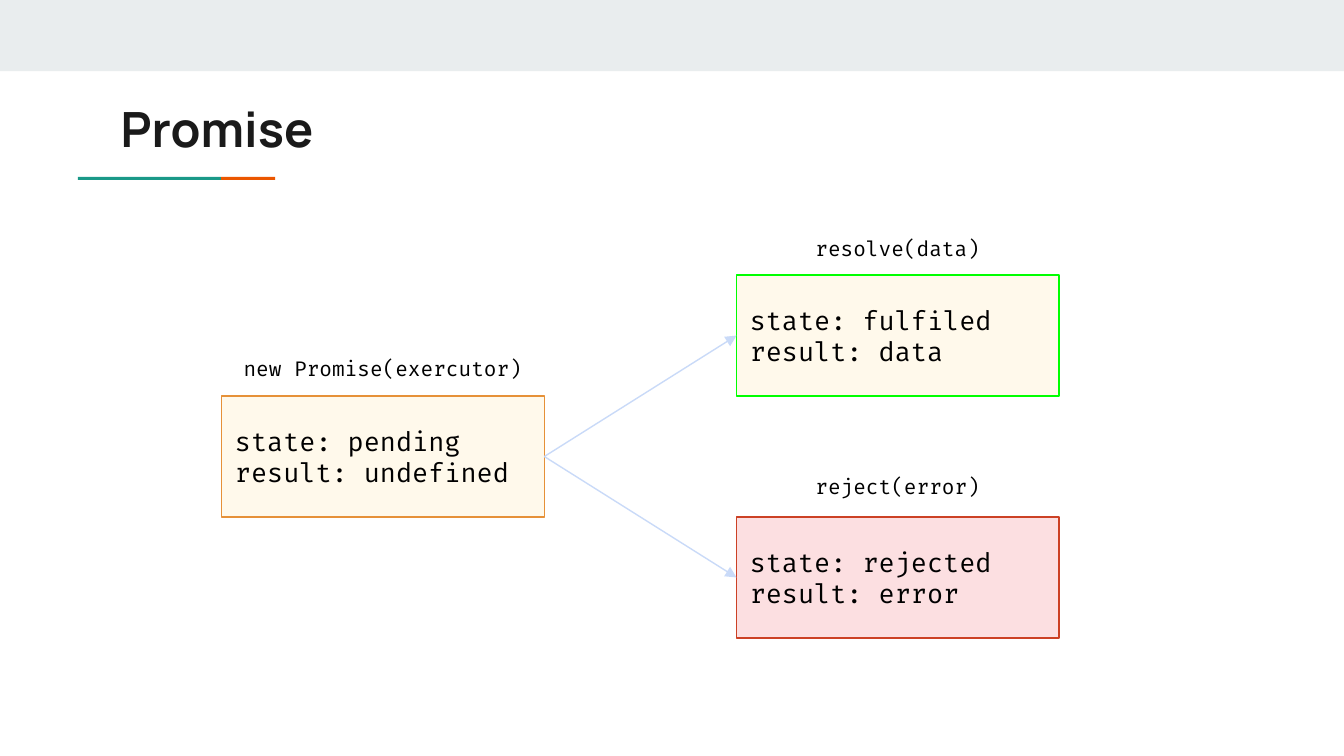
from lxml.etree import SubElement
from pptx import Presentation
from pptx.dml.color import RGBColor
from pptx.enum.shapes import MSO_CONNECTOR, MSO_SHAPE
from pptx.enum.text import MSO_ANCHOR, PP_ALIGN
from pptx.oxml.ns import qn
from pptx.util import Pt

CARD_WIDTH, CARD_HEIGHT = 172.8, 64.8
LABEL_HEIGHT = 28.1
RIGHT_SIDE, LEFT_SIDE = 3, 1


def color(value):
    """Turn a hex string into a colour."""
    return RGBColor.from_string(value)


def add_block(page, left, top, width, height, fill, outline=None):
    """Add a flat rectangle, with an outline if one is given."""
    block = page.shapes.add_shape(
        MSO_SHAPE.RECTANGLE, Pt(left), Pt(top), Pt(width), Pt(height))
    block.shadow.inherit = False
    block.fill.solid()
    block.fill.fore_color.rgb = color(fill)
    if outline:
        block.line.color.rgb = color(outline)
        block.line.width = Pt(0.75)
    else:
        block.line.fill.background()
    return block


def write_lines(box, lines, font, size, ink="000000", bold=False,
                align=PP_ALIGN.LEFT, anchor=MSO_ANCHOR.TOP):
    """Write each line as a paragraph of its own."""
    frame = box.text_frame
    frame.word_wrap = True
    frame.vertical_anchor = anchor
    frame.margin_left = frame.margin_right = Pt(7.2)
    frame.margin_top = frame.margin_bottom = Pt(7.2)
    for index, line in enumerate(lines):
        para = frame.add_paragraph() if index else frame.paragraphs[0]
        para.alignment = align
        span = para.add_run()
        span.text = line
        span.font.name = font
        span.font.size = Pt(size)
        span.font.bold = bold
        span.font.color.rgb = color(ink)


def add_header(page, left, top, width, title):
    """Add the top band, the title and its two-colour underline."""
    add_block(page, left, top, width, 38.2, "E9EDEE")
    add_block(page, left + 41.8, top + 94.8, 76.6, 1.6, "1A9988")
    add_block(page, left + 118.4, top + 94.8, 29, 1.6, "EB5600")
    box = page.shapes.add_textbox(
        Pt(left + 57.6), Pt(top + 46.1), Pt(605.5), Pt(42.5))
    write_lines(box, [title], "Manrope", 26, "1A1A1A", bold=True)


def add_state(page, left, top, label, label_gap, state, result, fill, outline):
    """Add a state card with the call that leads to it written above."""
    card = add_block(page, left, top, CARD_WIDTH, CARD_HEIGHT, fill, outline)
    write_lines(card, [f"state: {state}", f"result: {result}"],
                "Fira Code", 14, anchor=MSO_ANCHOR.MIDDLE)
    box = page.shapes.add_textbox(
        Pt(left), Pt(top - label_gap), Pt(CARD_WIDTH), Pt(LABEL_HEIGHT))
    write_lines(box, [label], "Fira Code", 11, align=PP_ALIGN.CENTER)
    return card


def add_arrow(page, source, target):
    """Connect the right side of one card to the left side of another."""
    arrow = page.shapes.add_connector(MSO_CONNECTOR.STRAIGHT, 0, 0, 0, 0)
    arrow.begin_connect(source, RIGHT_SIDE)
    arrow.end_connect(target, LEFT_SIDE)
    arrow.line.color.rgb = color("C9DAF8")
    arrow.line.width = Pt(0.75)
    SubElement(arrow.line._get_or_add_ln(), qn("a:tailEnd"), type="triangle")
    SubElement(arrow._element.spPr, qn("a:effectLst"))


def add_state_diagram(page, left, top):
    """Add the pending state and the two states it can settle into."""
    settled = left + 275.8
    pending = add_state(page, left, top + CARD_HEIGHT,
                        "new Promise(exercutor)", 28.1,
                        "pending", "undefined", "FFF9EB", "E69138")
    fulfilled = add_state(page, settled, top, "resolve(data)", 27.6,
                          "fulfiled", "data", "FFF9EB", "00FF00")
    rejected = add_state(page, settled, top + 2 * CARD_HEIGHT,
                         "reject(error)", 29.8,
                         "rejected", "error", "FCDFE1", "CC4125")
    for target in (fulfilled, rejected):
        add_arrow(page, pending, target)


def main():
    """Build the deck and save it."""
    deck = Presentation()
    deck.slide_width, deck.slide_height = Pt(720), Pt(405)
    page = deck.slides.add_slide(deck.slide_layouts[6])
    add_header(page, 0, 0, 720, "Promise")
    add_state_diagram(page, 118.8, 147.4)
    deck.save("out.pptx")


if __name__ == "__main__":
    main()
